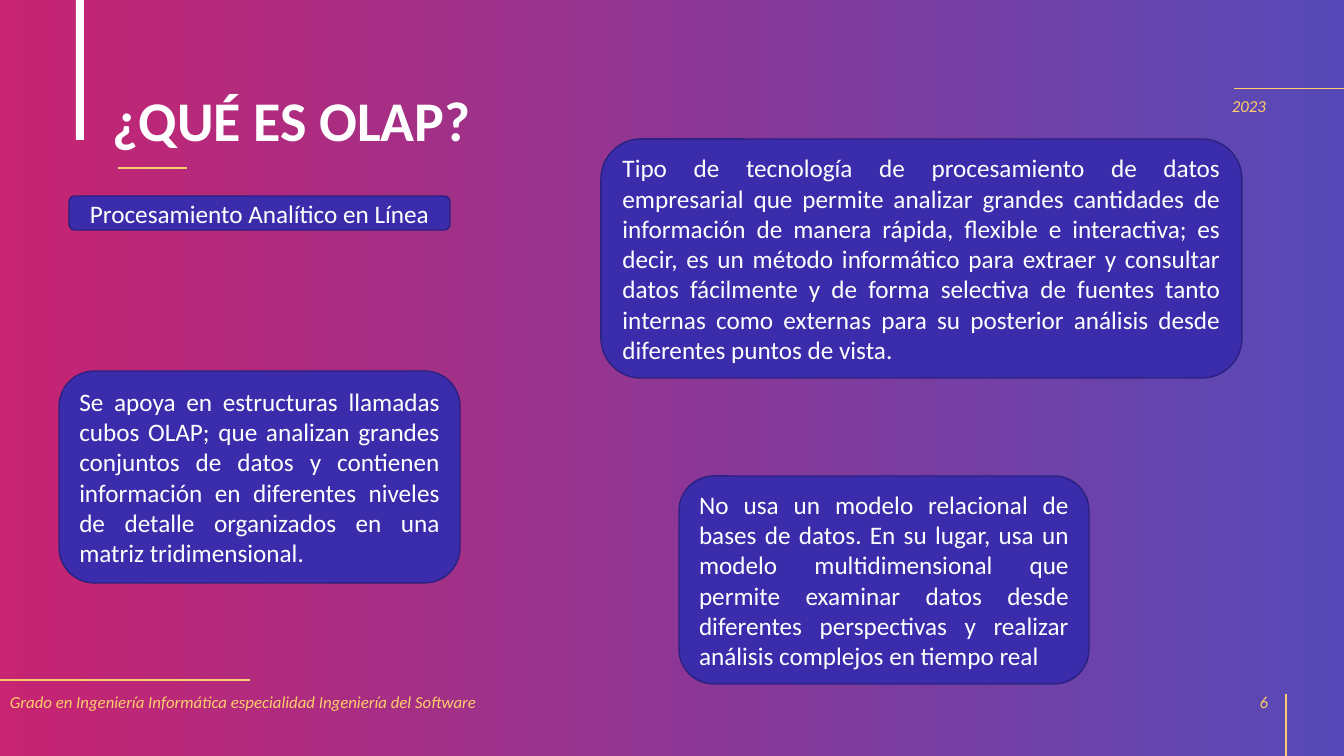
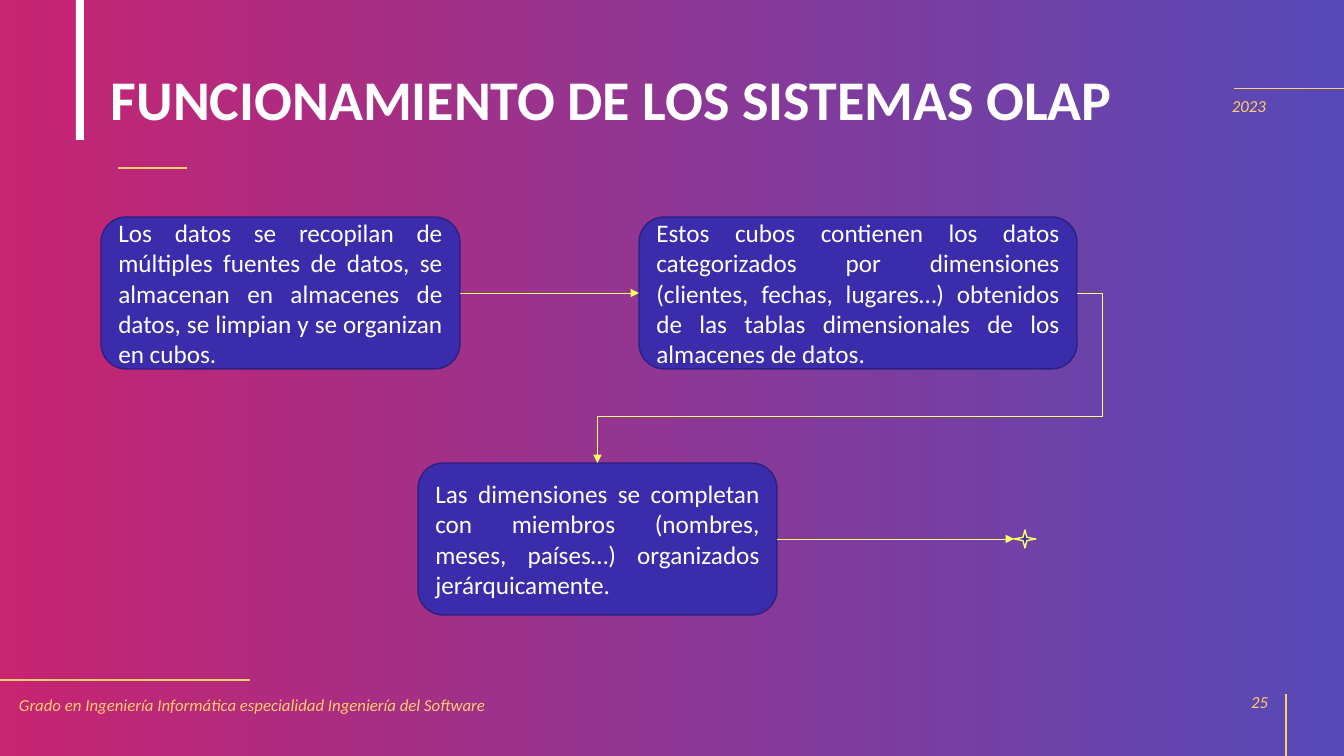
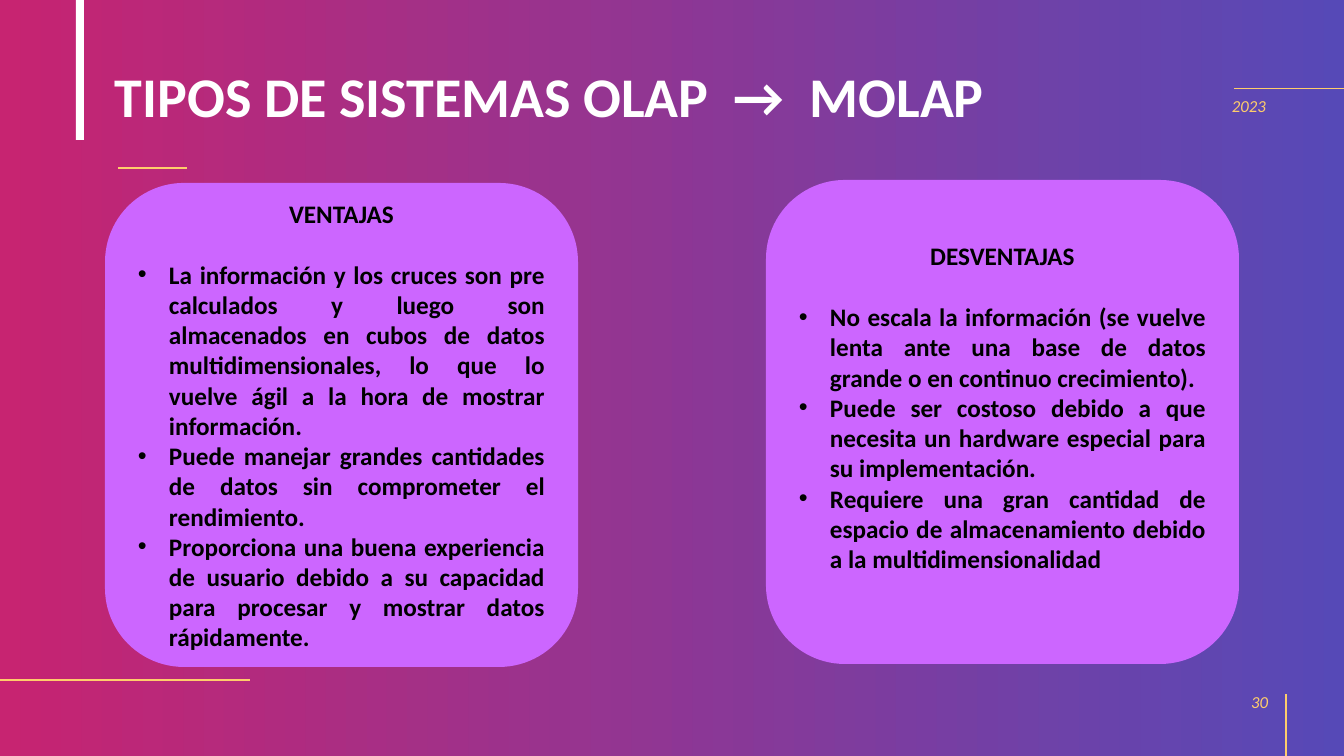
from lxml import etree
from pptx import Presentation
from pptx.dml.color import RGBColor
from pptx.enum.shapes import MSO_CONNECTOR, MSO_SHAPE
from pptx.enum.text import MSO_ANCHOR, PP_ALIGN
from pptx.oxml.ns import qn
from pptx.util import Pt

SLIDE_WIDTH, SLIDE_HEIGHT = 1344, 756
SCALE = 12192000 / SLIDE_WIDTH
FONT = "Calibri"
WHITE, BLACK, GOLD, YELLOW = "FFFFFF", "000000", "FFCD6B", "FFFF66"
CRIMSON, INDIGO, NAVY, VIOLET = "BE005A", "3B2CAC", "2C217F", "CC66FF"

RECTANGLE = MSO_SHAPE.RECTANGLE
ROUNDED = MSO_SHAPE.ROUNDED_RECTANGLE
STAR = MSO_SHAPE.STAR_4_POINT
STRAIGHT, ELBOW = MSO_CONNECTOR.STRAIGHT, MSO_CONNECTOR.ELBOW
LEFT, CENTER, RIGHT, JUSTIFY = PP_ALIGN.LEFT, PP_ALIGN.CENTER, PP_ALIGN.RIGHT, PP_ALIGN.JUSTIFY
TOP, MIDDLE = MSO_ANCHOR.TOP, MSO_ANCHOR.MIDDLE
SITE_TOP, SITE_LEFT, SITE_RIGHT = 0, 1, 3

DEGREE = "Grado en Ingeniería Informática especialidad Ingeniería del Software"
YEAR = "2023"
BULLET_INDENT = 31
BLANK_LINE = 30


def px(length):
    return round(length * SCALE)


def color(value):
    return RGBColor.from_string(value)


def add_child(parent, tag, **attributes):
    return etree.SubElement(parent, qn(tag), attributes)


def write(frame, text, size=18, ink=WHITE, bold=False, italic=False, align=LEFT,
          spacing=1.0, after=0, bullet=False, more=False):
    paragraph = frame.add_paragraph() if more else frame.paragraphs[0]
    paragraph.alignment = align
    paragraph.line_spacing = spacing
    paragraph.space_after = Pt(after)
    if bullet:
        properties = paragraph._p.get_or_add_pPr()
        properties.set("marL", str(px(BULLET_INDENT)))
        properties.set("indent", str(-px(BULLET_INDENT)))
        add_child(properties, "a:buFont", typeface="Arial")
        add_child(properties, "a:buChar", char="•")
    run = paragraph.add_run()
    run.text = text
    font = run.font
    font.name, font.size, font.bold, font.italic = FONT, Pt(size), bold, italic
    font.color.rgb = color(ink)


def add_label(slide, box, text, anchor=MIDDLE, **text_format):
    frame = slide.shapes.add_textbox(*map(px, box)).text_frame
    frame.word_wrap = True
    frame.vertical_anchor = anchor
    write(frame, text, **text_format)


def add_panel(slide, box, fill=None, line=None, kind=ROUNDED):
    shape = slide.shapes.add_shape(kind, *map(px, box))
    shape.shadow.inherit = False
    if fill:
        shape.fill.solid()
        shape.fill.fore_color.rgb = color(fill)
    if line:
        shape.line.color.rgb = color(line)
        shape.line.width = Pt(1)
    else:
        shape.line.fill.background()
    shape.text_frame.word_wrap = True
    shape.text_frame.vertical_anchor = MIDDLE
    return shape


def add_line(slide, start, end, ink=GOLD, width=1.5, kind=STRAIGHT):
    connector = slide.shapes.add_connector(kind, *map(px, start + end))
    connector.line.color.rgb = color(ink)
    connector.line.width = Pt(width)
    add_child(connector.element.spPr, "a:effectLst")
    return connector


def add_arrow(slide, source, target, target_site, bends=()):
    connector = add_line(slide, (0, 0), (0, 0), YELLOW, 0.5, ELBOW if bends else STRAIGHT)
    connector.begin_connect(source, SITE_RIGHT)
    connector.end_connect(target, target_site)
    add_child(connector.line._get_or_add_ln(), "a:tailEnd", type="triangle")
    if bends:
        geometry = connector.element.spPr.find(qn("a:prstGeom"))
        geometry.set("prst", f"bentConnector{len(bends) + 2}")
        guides = geometry.find(qn("a:avLst"))
        for number, bend in enumerate(bends, 1):
            add_child(guides, "a:gd", name=f"adj{number}", fmla=f"val {bend}")


def add_backdrop(slide):
    backdrop = add_panel(slide, (0, 0, SLIDE_WIDTH, SLIDE_HEIGHT), kind=RECTANGLE)
    backdrop.fill.gradient()
    backdrop.fill.gradient_angle = 0
    for stop, tint in zip(backdrop.fill.gradient_stops, (CRIMSON, INDIGO)):
        stop.color.rgb = color(tint)
    for tint in backdrop.element.spPr.iter(qn("a:srgbClr")):
        add_child(tint, "a:alpha", val="85000")


def add_base_slide(presentation, title, title_corner, number, footer_box=None):
    slide = presentation.slides.add_slide(presentation.slide_layouts[6])
    add_backdrop(slide)
    add_panel(slide, (76, 0, 8, 140), WHITE, kind=RECTANGLE)
    add_line(slide, (118, 168), (187, 168))
    add_line(slide, (1234, 88), (SLIDE_WIDTH, 88), width=0.5)
    add_line(slide, (0, 680), (250, 680))
    add_line(slide, (1286, SLIDE_HEIGHT), (1286, 694))
    add_label(slide, (*title_corner, 1099, 146), title, size=40, bold=True, spacing=0.9)
    small = {"size": 12, "ink": GOLD, "italic": True}
    if footer_box:
        add_label(slide, footer_box, DEGREE, **small)
    add_label(slide, (976, 682, 302, 40), str(number), align=RIGHT, **small)
    add_label(slide, (1222, 93, 68, 36), YEAR, anchor=TOP, spacing=0.9, **small)
    return slide


def add_card(slide, box, text, align=JUSTIFY):
    card = add_panel(slide, box, INDIGO, NAVY)
    write(card.text_frame, text, align=align)
    return card


def add_list_card(slide, box, heading, items, bottom_gap=0):
    frame = add_panel(slide, box, VIOLET).text_frame
    frame.margin_bottom += px(bottom_gap)
    write(frame, heading, ink=BLACK, bold=True, align=CENTER, after=22)
    for item in items:
        write(frame, item, ink=BLACK, bold=True, align=JUSTIFY, bullet=True, more=True)


def build_definition(presentation):
    slide = add_base_slide(presentation, "¿QUÉ ES OLAP?", (103, 50), 6, (0, 682, 519, 40))
    add_card(slide, (69, 196, 381, 34), "Procesamiento Analítico en Línea", CENTER)
    add_card(slide, (601, 139, 641, 239),
             "Tipo de tecnología de procesamiento de datos empresarial que permite analizar "
             "grandes cantidades de información de manera rápida, flexible e interactiva; es "
             "decir, es un método informático para extraer y consultar datos fácilmente y de "
             "forma selectiva de fuentes tanto internas como externas para su posterior "
             "análisis desde diferentes puntos de vista.")
    add_card(slide, (59, 371, 401, 212),
             "Se apoya en estructuras llamadas cubos OLAP; que analizan grandes conjuntos de "
             "datos y contienen información en diferentes niveles de detalle organizados en "
             "una matriz tridimensional.")
    add_card(slide, (679, 476, 410, 208),
             "No usa un modelo relacional de bases de datos. En su lugar, usa un modelo "
             "multidimensional que permite examinar datos desde diferentes perspectivas y "
             "realizar análisis complejos en tiempo real")


def build_process(presentation):
    slide = add_base_slide(presentation, "FUNCIONAMIENTO DE LOS SISTEMAS OLAP", (101, 29), 25,
                           (9, 685, 530, 40))
    collection = add_card(slide, (101, 217, 359, 152),
                          "Los datos se recopilan de múltiples fuentes de datos, se almacenan en "
                          "almacenes de datos, se limpian y se organizan en cubos.")
    cubes = add_card(slide, (639, 217, 438, 152),
                     "Estos cubos contienen los datos categorizados por dimensiones (clientes, "
                     "fechas, lugares…) obtenidos de las tablas dimensionales de los almacenes "
                     "de datos.")
    members = add_card(slide, (418, 463, 359, 152),
                       "Las dimensiones se completan con miembros (nombres, meses, países…) "
                       "organizados jerárquicamente.")
    star = add_panel(slide, (1014, 530, 22, 18), INDIGO, YELLOW, STAR)
    add_arrow(slide, collection, cubes, SITE_LEFT)
    add_arrow(slide, members, star, SITE_LEFT)
    add_arrow(slide, cubes, members, SITE_TOP, bends=(-5200, 72300))


def build_comparison(presentation):
    slide = add_base_slide(presentation, "TIPOS DE SISTEMAS OLAP  →  MOLAP", (105, 26), 30)
    add_list_card(slide, (105, 183, 473, 484), "VENTAJAS", [
        "La información y los cruces son pre calculados y luego son almacenados en cubos de "
        "datos multidimensionales, lo que lo vuelve ágil a la hora de mostrar información.",
        "Puede manejar grandes cantidades de datos sin comprometer el rendimiento.",
        "Proporciona una buena experiencia de usuario debido a su capacidad para procesar y "
        "mostrar datos rápidamente."])
    add_list_card(slide, (766, 180, 473, 484), "DESVENTAJAS", [
        "No escala la información (se vuelve lenta ante una base de datos grande o en continuo "
        "crecimiento).",
        "Puede ser costoso debido a que necesita un hardware especial para su implementación.",
        "Requiere una gran cantidad de espacio de almacenamiento debido a la "
        "multidimensionalidad"], bottom_gap=BLANK_LINE)


def main():
    presentation = Presentation()
    presentation.slide_width = px(SLIDE_WIDTH)
    presentation.slide_height = px(SLIDE_HEIGHT)
    build_definition(presentation)
    build_process(presentation)
    build_comparison(presentation)
    presentation.save("out.pptx")


if __name__ == "__main__":
    main()
